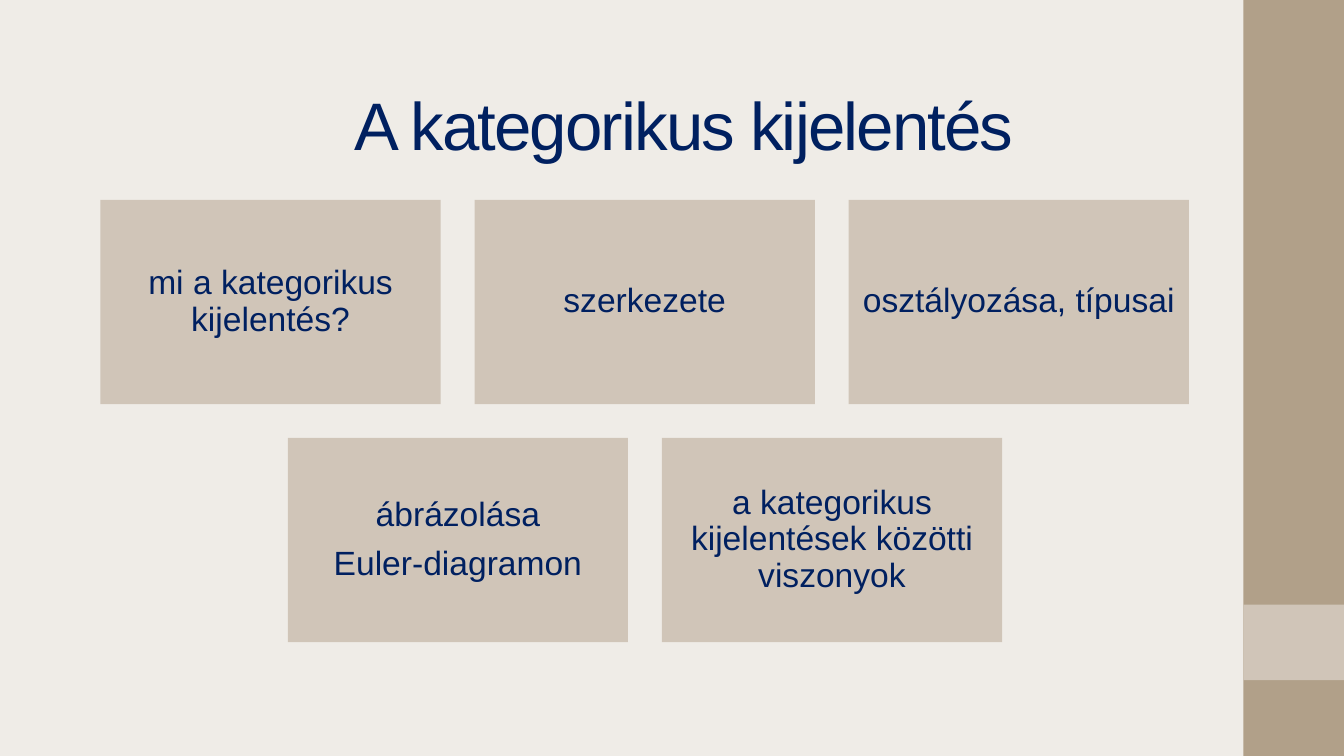
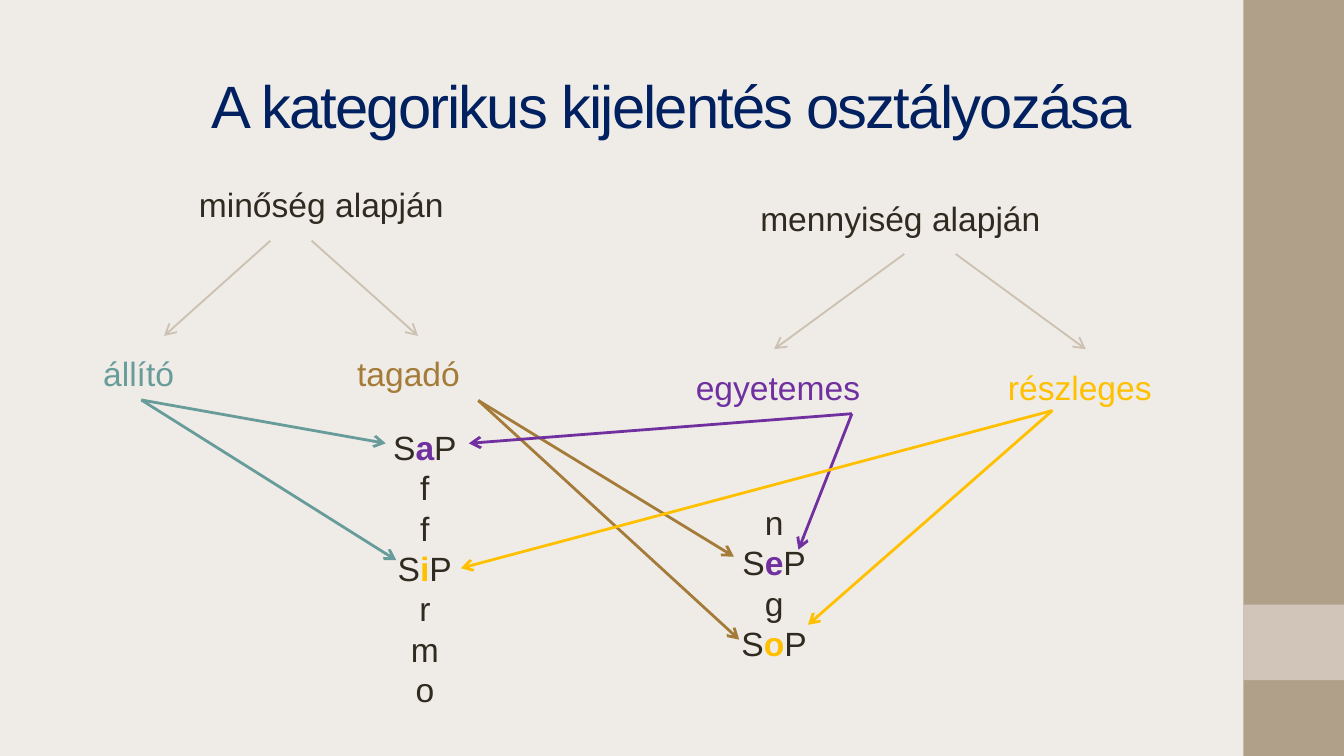
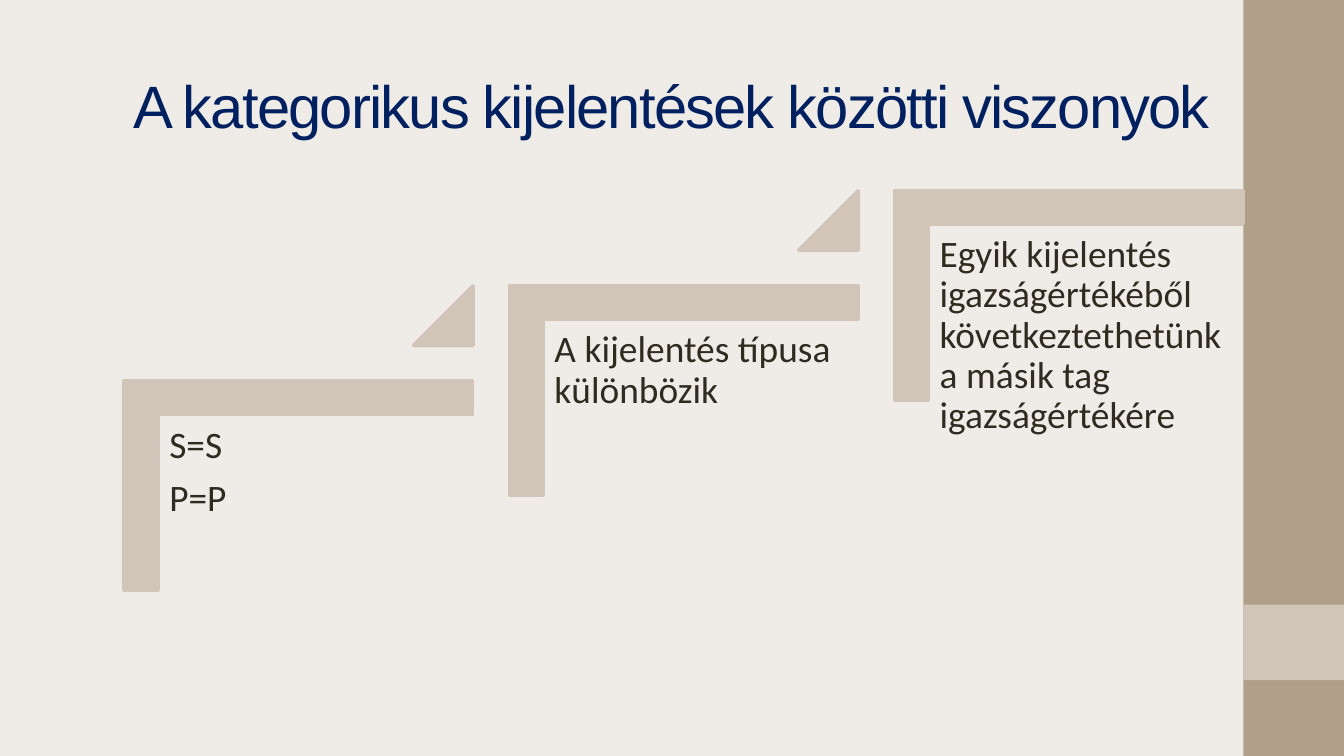
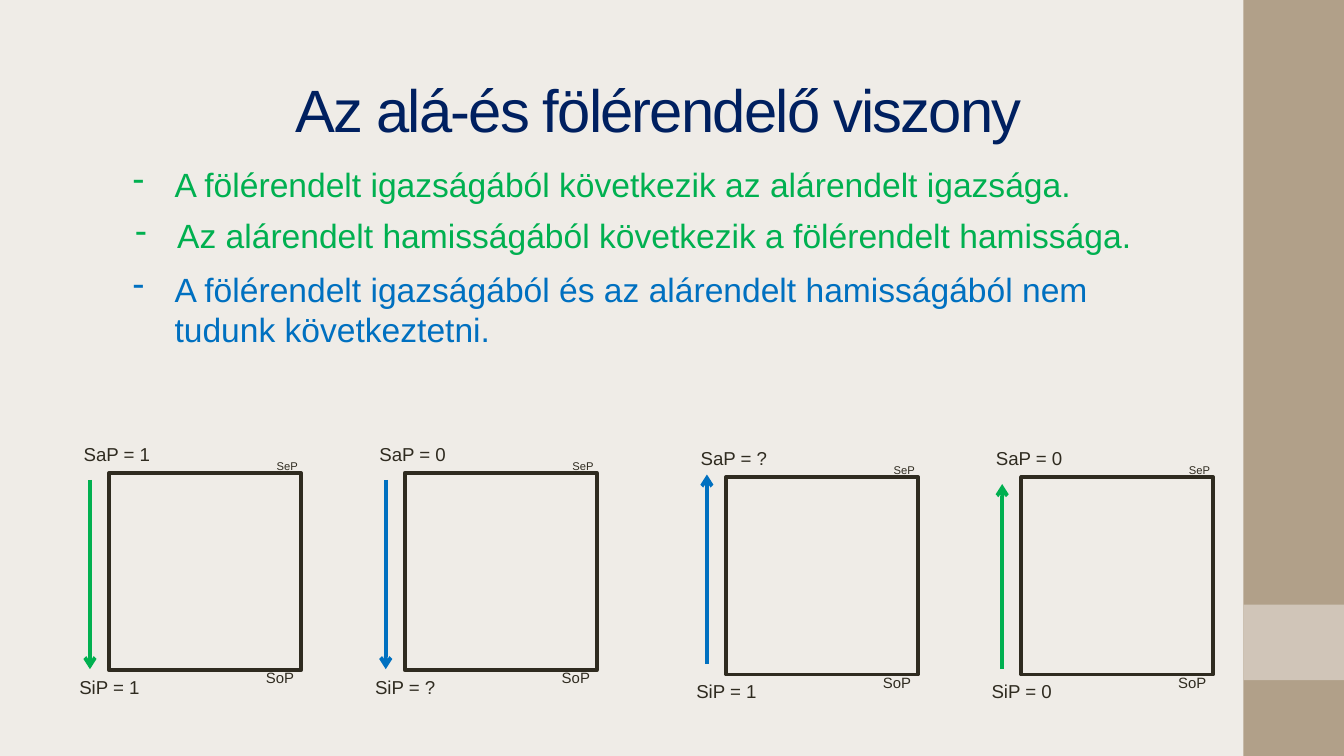
from lxml import etree
from pptx import Presentation, util as u
from pptx.dml.color import RGBColor
from pptx.enum import shapes as sh, text as tx
from pptx.oxml.ns import qn

Cm, Pt = u.Cm, u.Pt
MID = tx.PP_ALIGN.CENTER


class Theme:
    # colours
    paper, band, sand, twig = "EFECE7", "B1A089", "D0C5B8", "CCC1B3"
    navy, ink, teal, brown = "002060", "2F2B20", "689C9A", "A47B38"
    plum, gold, green, blue = "7030A0", "FFC000", "00B050", "0070C0"
    # fonts and type sizes
    sans, step = "Arial", "Calibri"
    cover, head, body, large = 36, 32, 18, 20
    note, small, tiny = 10, 8, 6


def write(shape, words, size, hue, align=None, font=Theme.sans, pad=None, tight=False):
    """Fill a shape with text, one paragraph a line, and format it."""
    frame = shape.text_frame
    frame.word_wrap = True
    frame.text = words
    if pad is not None:
        frame.margin_left = frame.margin_right = Cm(pad)
        frame.margin_top = frame.margin_bottom = Cm(pad)
    for para in frame.paragraphs:
        para.alignment = align
        if tight:
            para.line_spacing, para.space_after = 0.9, Pt(7)
        for run in para.runs:
            run.font.name, run.font.size = font, Pt(size)
            run.font.color.rgb = RGBColor.from_string(hue)
    return frame


def draw(slide, kind, box, fill=None, line=None, width=2):
    """Add a preset shape, or a connector with an arrowhead when kind is None."""
    box = [Cm(n) for n in box]
    if kind is None:
        shape = slide.shapes.add_connector(sh.MSO_CONNECTOR.STRAIGHT, *box)
    else:
        shape = slide.shapes.add_shape(kind, *box)
        shape.shadow.inherit = False
        if fill:
            shape.fill.solid()
            shape.fill.fore_color.rgb = RGBColor.from_string(fill)
        else:
            shape.fill.background()
    if line:
        shape.line.color.rgb = RGBColor.from_string(line)
        shape.line.width = Pt(width)
    else:
        shape.line.fill.background()
    if kind is None:
        props = shape.element.spPr
        etree.SubElement(props.find(qn("a:ln")), qn("a:tailEnd"), type="arrow")
        etree.SubElement(props, qn("a:effectLst"))
    return shape


RECT = sh.MSO_SHAPE.RECTANGLE
deck = Presentation()
deck.slide_width, deck.slide_height = Cm(25.4), Cm(14.29)
back = deck.slide_master.background.fill
back.solid()
back.fore_color.rgb = RGBColor.from_string(Theme.paper)

# Bands and titles of all slides
heads = [
    ("A kategorikus kijelentés", Theme.cover, (1.5, 1.35, 22.86, 1.98)),
    ("A kategorikus kijelentés osztályozása", Theme.head, (1.27, 0.33, 22.86, 3.3)),
    ("A kategorikus kijelentések közötti viszonyok", Theme.head, (1.27, 0.33, 22.86, 3.3)),
    ("Az alá-és fölérendelő viszony", Theme.head, (1.02, 1.02, 22.86, 2.06)),
]
slides = []
for words, size, box in heads:
    slide = deck.slides.add_slide(deck.slide_layouts[6])
    draw(slide, RECT, (23.5, 0, 1.9, 14.29), Theme.band)
    draw(slide, RECT, (23.5, 11.43, 1.9, 1.43), Theme.sand)
    title = slide.shapes.add_textbox(*[Cm(n) for n in box])
    frame = write(title, words, size, Theme.navy, MID)
    frame.vertical_anchor = tx.MSO_ANCHOR.MIDDLE
    for run in frame.paragraphs[0].runs:
        run._r.get_or_add_rPr().set("spc", "-100")
    slides.append(slide)
topics, classes, steps, squares = slides

# Slide 1: topic cards, three above two
rows = [
    (1.9, ["mi a kategorikus kijelentés?", "szerkezete", "osztályozása, típusai"]),
    (5.44, ["ábrázolása\nEuler-diagramon", "a kategorikus kijelentések közötti viszonyok"]),
]
for row, (left, cards) in enumerate(rows):
    for col, words in enumerate(cards):
        card = draw(topics, RECT, (left + 7.07 * col, 3.78 + 4.5 * row, 6.43, 3.86), Theme.sand)
        frame = write(card, words, Theme.body, Theme.navy, MID, pad=0.18, tight=True)
        frame.vertical_anchor = tx.MSO_ANCHOR.MIDDLE

# Slide 2: labels of the two trees
labels = [
    ("minőség alapján", Theme.ink, 3.51, 3.35, 5.21),
    ("állító", Theme.teal, 1.7, 6.55, 3),
    ("tagadó", Theme.brown, 6.5, 6.55, 3),
    ("mennyiség alapján", Theme.ink, 14.12, 3.61, 7.39),
    ("egyetemes", Theme.plum, 12.9, 6.81, 3.68),
    ("részleges", Theme.gold, 18.8, 6.81, 3.68),
]
for words, hue, left, top, wide in labels:
    label = classes.shapes.add_textbox(Cm(left), Cm(top), Cm(wide), Cm(1.02))
    write(label, words, Theme.body, hue)

# Letter columns with coloured vowels
vowels = {"a": Theme.plum, "e": Theme.plum, "i": Theme.gold, "o": Theme.gold}
columns = [
    ("SaP\nf\nf\nSiP\nr\nm\no", 6.99, 7.92, 5.64),
    ("n\nSeP\ng\nSoP", 13.59, 9.35, 3.33),
]
for words, left, top, tall in columns:
    column = classes.shapes.add_textbox(Cm(left), Cm(top), Cm(2.08), Cm(tall))
    frame = write(column, words, Theme.body, Theme.ink, MID)
    frame.vertical_anchor = tx.MSO_ANCHOR.MIDDLE
    for para in frame.paragraphs:
        if len(para.text) == 3:
            signs = para.text
            para.text = signs[0]
            for sign in signs[1:]:
                para.add_run().text = sign
            for run in para.runs:
                run.font.name, run.font.size = Theme.sans, Pt(Theme.body)
                run.font.bold = run.text in vowels
                run.font.color.rgb = RGBColor.from_string(vowels.get(run.text, Theme.ink))

# Arrows: colour, width, start, ends
fans = [
    (Theme.twig, 1, (5.11, 4.55), [(3.1, 6.35)]),
    (Theme.twig, 1, (5.89, 4.55), [(7.9, 6.35)]),
    (Theme.twig, 1, (17.09, 4.8), [(14.63, 6.6)]),
    (Theme.twig, 1, (18.06, 4.8), [(20.52, 6.6)]),
    (Theme.brown, 1.5, (9.04, 7.57), [(13.87, 10.52), (13.97, 12.09)]),
    (Theme.teal, 1.5, (2.67, 7.56), [(7.29, 8.38), (7.49, 10.59)]),
    (Theme.plum, 1.5, (16.1, 7.82), [(8.86, 8.38), (15.09, 10.39)]),
    (Theme.gold, 1.5, (19.89, 7.76), [(8.71, 10.74), (15.27, 11.81)]),
]
for hue, width, start, ends in fans:
    for end in ends:
        draw(classes, None, start + end, line=hue, width=width)

# Slide 3: rising steps
stairs = [
    "S=S\nP=P",
    "A kijelentés típusa különbözik",
    "Egyik kijelentés igazságértékéből következtethetünk a másik tag igazságértékére",
]
for i, words in enumerate(stairs):
    dx, dy = 7.28 * i, -1.8 * i
    corner = draw(steps, sh.MSO_SHAPE.CORNER, (3.66 + dx, 5.89 + dy, 3.96, 6.58),
                  Theme.sand, Theme.sand)
    corner.rotation = 90
    corner.adjustments[0] = corner.adjustments[1] = 0.16
    label = steps.shapes.add_textbox(Cm(3 + dx), Cm(7.85 + dy), Cm(5.94), Cm(5.21))
    write(label, words, Theme.large, Theme.ink, font=Theme.step, pad=0.2, tight=True)
    if i < len(stairs) - 1:
        wedge = draw(steps, sh.MSO_SHAPE.ISOSCELES_TRIANGLE,
                     (7.82 + dx, 5.41 + dy, 1.12, 1.12), Theme.sand, Theme.sand)
        wedge.adjustments[0] = 1

# Slide 4: rules with dash bullets
rules = [
    ("A fölérendelt igazságából következik az alárendelt igazsága.",
     Theme.green, (2.26, 2.97, 18.44, 1.02)),
    ("Az alárendelt hamisságából következik a fölérendelt hamissága.",
     Theme.green, (2.31, 3.94, 19.46, 1.02)),
    ("A fölérendelt igazságából és az alárendelt hamisságából nem tudunk következtetni.",
     Theme.blue, (2.26, 4.95, 19.23, 1.8)),
]
for words, hue, box in rules:
    rule = squares.shapes.add_textbox(*[Cm(n) for n in box])
    frame = write(rule, words, Theme.body, hue)
    props = frame.paragraphs[0]._p.get_or_add_pPr()
    props.set("marL", str(Cm(0.79)))
    props.set("indent", str(-Cm(0.79)))
    etree.SubElement(props, qn("a:buChar"), char="-")

# Squares: place, upper and lower value, arrow colour and span
grid = [
    (2.06, 8.94, "1", "1", Theme.green, 0.13, 3.71),
    (7.65, 8.94, "0", "?", Theme.blue, 0.13, 3.71),
    (13.72, 9.02, "?", "1", Theme.blue, 3.53, -0.05),
    (19.3, 9.02, "0", "0", Theme.green, 3.63, 0.13),
]
for x, y, upper, lower, hue, start, end in grid:
    draw(squares, RECT, (x, y, 3.63, 3.73), line=Theme.ink)
    marks = [
        (f"SiP = {lower}", Theme.note, None, -0.81, 3.71, 1.85, 0.69),
        ("SoP", Theme.small, MID, 2.64, 3.58, 1.19, 0.61),
        (f"SaP = {upper}", Theme.note, MID, -0.79, -0.69, 1.88, 0.69),
        ("SeP", Theme.tiny, MID, 2.9, -0.38, 0.94, 0.51),
    ]
    for words, size, align, dx, dy, wide, tall in marks:
        mark = squares.shapes.add_textbox(Cm(x + dx), Cm(y + dy), Cm(wide), Cm(tall))
        write(mark, words, size, Theme.ink, align)
    draw(squares, None, (x - 0.36, y + start, x - 0.36, y + end), line=hue)

deck.save("out.pptx")
